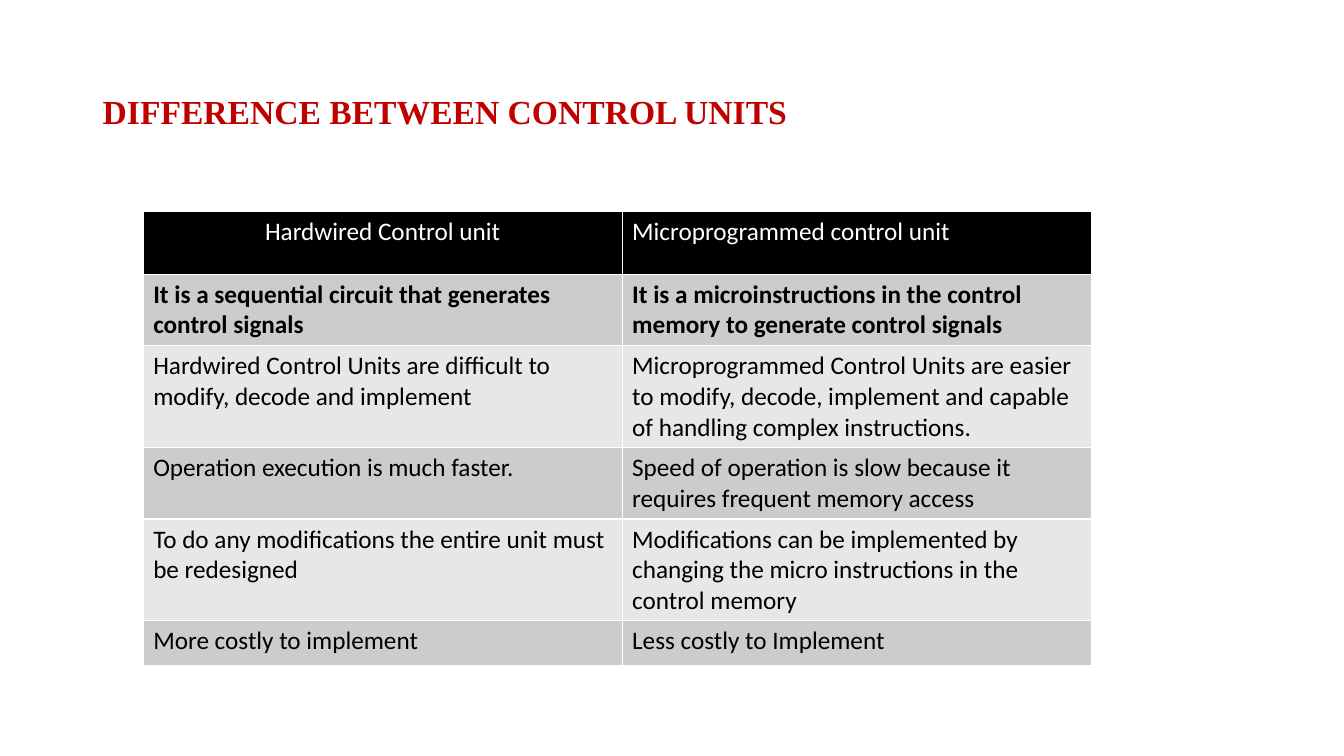
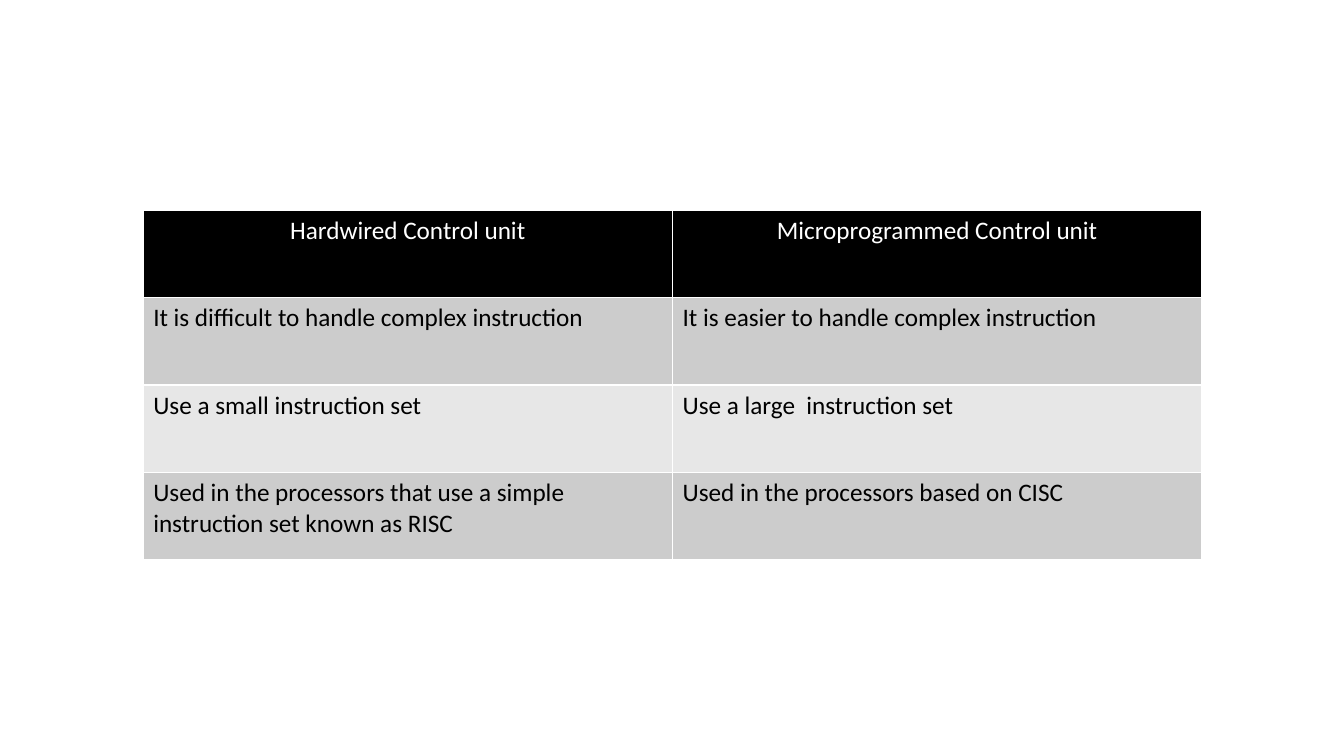
"""Build two slides comparing hardwired and microprogrammed control units."""
import pptx
import pptx.dml.color
import pptx.enum.text
import pptx.util

Inches = pptx.util.Inches
Pt = pptx.util.Pt
Align = pptx.enum.text.PP_ALIGN

TITLE_RED = "C00000"
HEADER_FILL, HEADER_TEXT = "000000", "FFFFFF"
BODY_TEXT = "000000"
BAND_FILLS = ["E7E7E7", "CCCCCC"]
TABLE_LEFT = 1.42


def rgb(value):
    return pptx.dml.color.RGBColor.from_string(value)


def style_font(font, color, **values):
    font.color.rgb = rgb(color)
    for attribute, value in values.items():
        setattr(font, attribute, value)


comparisons = [
    {
        "title": "DIFFERENCE BETWEEN CONTROL UNITS",
        "top": 2.1,
        "widths": [4.75, 4.66],
        "heights": [0.62, 0.71, 1.01, 0.71, 1.01, 0.44],
        "header_aligns": [Align.CENTER, Align.LEFT],
        "bold_rows": [1],
        "rows": [
            ("Hardwired Control unit", "Microprogrammed control unit"),
            ("It is a sequential circuit that generates control signals",
             "It is a microinstructions in the control memory to generate control signals"),
            ("Hardwired Control Units are difficult to modify, decode and implement",
             "Microprogrammed Control Units are easier to modify, decode, implement "
             "and capable of handling complex instructions."),
            ("Operation execution is much faster.",
             "Speed of operation is slow because it requires frequent memory access"),
            ("To do any modifications the entire unit must be redesigned",
             "Modifications can be implemented by changing the micro instructions "
             "in the control memory"),
            ("More costly to implement", "Less costly to Implement"),
        ],
    },
    {
        "title": None,
        "top": 2.09,
        "widths": [5.25] * 2,
        "heights": [3.46 / 4] * 4,
        "header_aligns": [Align.CENTER] * 2,
        "bold_rows": [],
        "rows": [
            ("Hardwired Control unit", "Microprogrammed Control unit"),
            ("It is difficult to handle complex instruction",
             "It is easier to handle complex instruction"),
            ("Use a small instruction set", "Use a large  instruction set"),
            ("Used in the processors that use a simple instruction set known as RISC",
             "Used in the processors based on CISC"),
        ],
    },
]

deck = pptx.Presentation()
deck.slide_width = Inches(13.33)
deck.slide_height = Inches(7.5)

for comparison in comparisons:
    slide = deck.slides.add_slide(deck.slide_layouts[6])

    if comparison["title"]:
        title = slide.shapes.add_textbox(
            Inches(0.92), Inches(0.4), Inches(11.5), Inches(1.45)).text_frame
        title.word_wrap = True
        title.vertical_anchor = pptx.enum.text.MSO_ANCHOR.MIDDLE
        heading = title.paragraphs[0]
        heading.text = comparison["title"]
        heading.line_spacing = 0.9
        style_font(heading.font, TITLE_RED, name="Times New Roman", size=Pt(24), bold=True)

    widths, heights = comparison["widths"], comparison["heights"]
    table = slide.shapes.add_table(
        len(heights), len(widths), Inches(TABLE_LEFT), Inches(comparison["top"]),
        Inches(sum(widths)), Inches(sum(heights))).table
    for column, width in zip(table.columns, widths):
        column.width = Inches(width)
    for row, height in zip(table.rows, heights):
        row.height = Inches(height)

    for row_number, texts in enumerate(comparison["rows"]):
        is_header = row_number == 0
        for column_number, text in enumerate(texts):
            cell = table.cell(row_number, column_number)
            cell.fill.solid()
            cell.fill.fore_color.rgb = rgb(HEADER_FILL if is_header else BAND_FILLS[row_number % 2])
            entry = cell.text_frame.paragraphs[0]
            entry.text = text
            entry.alignment = comparison["header_aligns"][column_number] if is_header else Align.LEFT
            style_font(entry.runs[0].font, HEADER_TEXT if is_header else BODY_TEXT,
                       name="Calibri", size=Pt(18), bold=row_number in comparison["bold_rows"])

deck.save("out.pptx")
